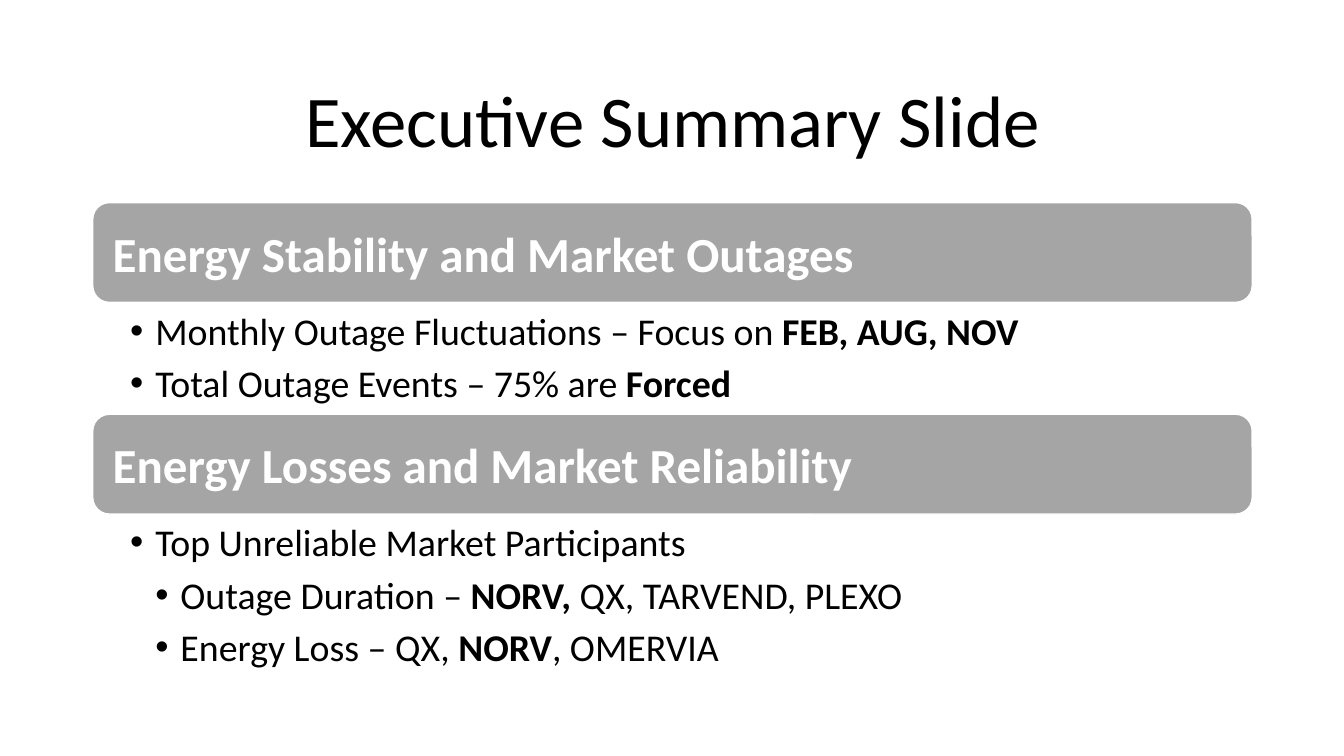
from dataclasses import dataclass

from lxml import etree
from pptx import Presentation
from pptx.dml.color import RGBColor
from pptx.enum.shapes import MSO_SHAPE
from pptx.enum.text import MSO_ANCHOR, MSO_AUTO_SIZE, PP_ALIGN
from pptx.oxml.ns import qn
from pptx.util import Inches, Pt

ROUNDED = MSO_SHAPE.ROUNDED_RECTANGLE
TOP, MIDDLE = MSO_ANCHOR.TOP, MSO_ANCHOR.MIDDLE
LEFT, CENTER = PP_ALIGN.LEFT, PP_ALIGN.CENTER
NO_AUTOFIT = MSO_AUTO_SIZE.NONE
TWO_CONTENT_LAYOUT = 3


@dataclass(frozen=True)
class Theme:
    font: str = "Calibri"
    ink: RGBColor = RGBColor(0x00, 0x00, 0x00)
    paper: RGBColor = RGBColor(0xFF, 0xFF, 0xFF)
    banner: RGBColor = RGBColor(0xA5, 0xA5, 0xA5)
    title_size: int = 52
    banner_size: int = 35
    list_size: int = 27


@dataclass(frozen=True)
class Run:
    text: str
    bold: bool = False


@dataclass(frozen=True)
class Line:
    runs: tuple[Run, ...]
    level: int = 0


@dataclass(frozen=True)
class Section:
    heading: str
    items: tuple[Line, ...]
    list_height: float


THEME = Theme()
MARGIN = 0.92
WIDTH = 11.5
BANNER_HEIGHT = 0.99
SECTIONS_TOP = 2.01
INDENT = 0.25

SECTIONS = (
    Section("Energy Stability and Market Outages", (
        Line((Run("Monthly Outage Fluctuations – Focus on "), Run("FEB, AUG, NOV", True)), 1),
        Line((Run("Total Outage Events – 75% are "), Run("Forced", True)), 1),
    ), 1.11),
    Section("Energy Losses and Market Reliability", (
        Line((Run("Top Unreliable Market Participants"),), 1),
        Line((Run("Outage Duration – "), Run("NORV, ", True), Run("QX, TARVEND, PLEXO")), 2),
        Line((Run("Energy Loss – QX, "), Run("NORV", True), Run(", OMERVIA")), 2),
    ), 1.66),
)


def place(shape, top: float, height: float) -> None:
    shape.left, shape.top = Inches(MARGIN), Inches(top)
    shape.width, shape.height = Inches(WIDTH), Inches(height)


def set_bullet(paragraph, level: int) -> None:
    properties = paragraph._p.get_or_add_pPr()
    properties.set("marL", str(Inches(INDENT * level)))
    properties.set("indent", str(-Inches(INDENT)))
    etree.SubElement(properties, qn("a:buChar")).set("char", "•")


def write(shape, lines: tuple[Line, ...], *, size: int, color: RGBColor,
          anchor=MIDDLE, align=LEFT, line_spacing: float = 1.0,
          space_after: float = 0,
          insets: tuple[float, float, float, float] = (0.1, 0.05, 0.1, 0.05)) -> None:
    frame = shape.text_frame
    frame.word_wrap = True
    frame.auto_size = NO_AUTOFIT
    frame.vertical_anchor = anchor
    frame.margin_left, frame.margin_top, frame.margin_right, frame.margin_bottom = map(Inches, insets)
    for index, line in enumerate(lines):
        paragraph = frame.add_paragraph() if index else frame.paragraphs[0]
        paragraph.alignment = align
        paragraph.line_spacing = line_spacing
        paragraph.space_before = Pt(0)
        paragraph.space_after = Pt(space_after)
        if line.level:
            paragraph.level = line.level
            set_bullet(paragraph, line.level)
        for part in line.runs:
            run = paragraph.add_run()
            run.text = part.text
            run.font.name = THEME.font
            run.font.size = Pt(size)
            run.font.bold = part.bold
            run.font.color.rgb = color


def add_banner(slide, heading: str, top: float) -> None:
    banner = slide.shapes.add_shape(ROUNDED, 0, 0, 0, 0)
    place(banner, top, BANNER_HEIGHT)
    banner.shadow.inherit = False
    banner.fill.solid()
    banner.fill.fore_color.rgb = THEME.banner
    banner.line.color.rgb = THEME.paper
    banner.line.width = Pt(1)
    write(banner, (Line((Run(heading, True),)),), size=THEME.banner_size,
          color=THEME.paper, insets=(0.15, 0.15, 0.15, 0.15))


def add_section(slide, section: Section, body, top: float) -> float:
    add_banner(slide, section.heading, top)
    list_top = top + BANNER_HEIGHT
    place(body, list_top, section.list_height)
    write(body, section.items, size=THEME.list_size, color=THEME.ink,
          anchor=TOP, space_after=5, insets=(0.37, 0.05, 0.27, 0.05))
    return list_top + section.list_height


def main() -> None:
    presentation = Presentation()
    presentation.slide_width = Inches(13.33)
    presentation.slide_height = Inches(7.5)
    slide = presentation.slides.add_slide(presentation.slide_layouts[TWO_CONTENT_LAYOUT])
    title, *bodies = slide.placeholders
    place(title, 0.61, 1.24)
    write(title, (Line((Run("Executive Summary Slide"),)),), size=THEME.title_size,
          color=THEME.ink, align=CENTER, line_spacing=0.9)
    top = SECTIONS_TOP
    for section, body in zip(SECTIONS, bodies):
        top = add_section(slide, section, body, top)
    presentation.save("out.pptx")


main()
